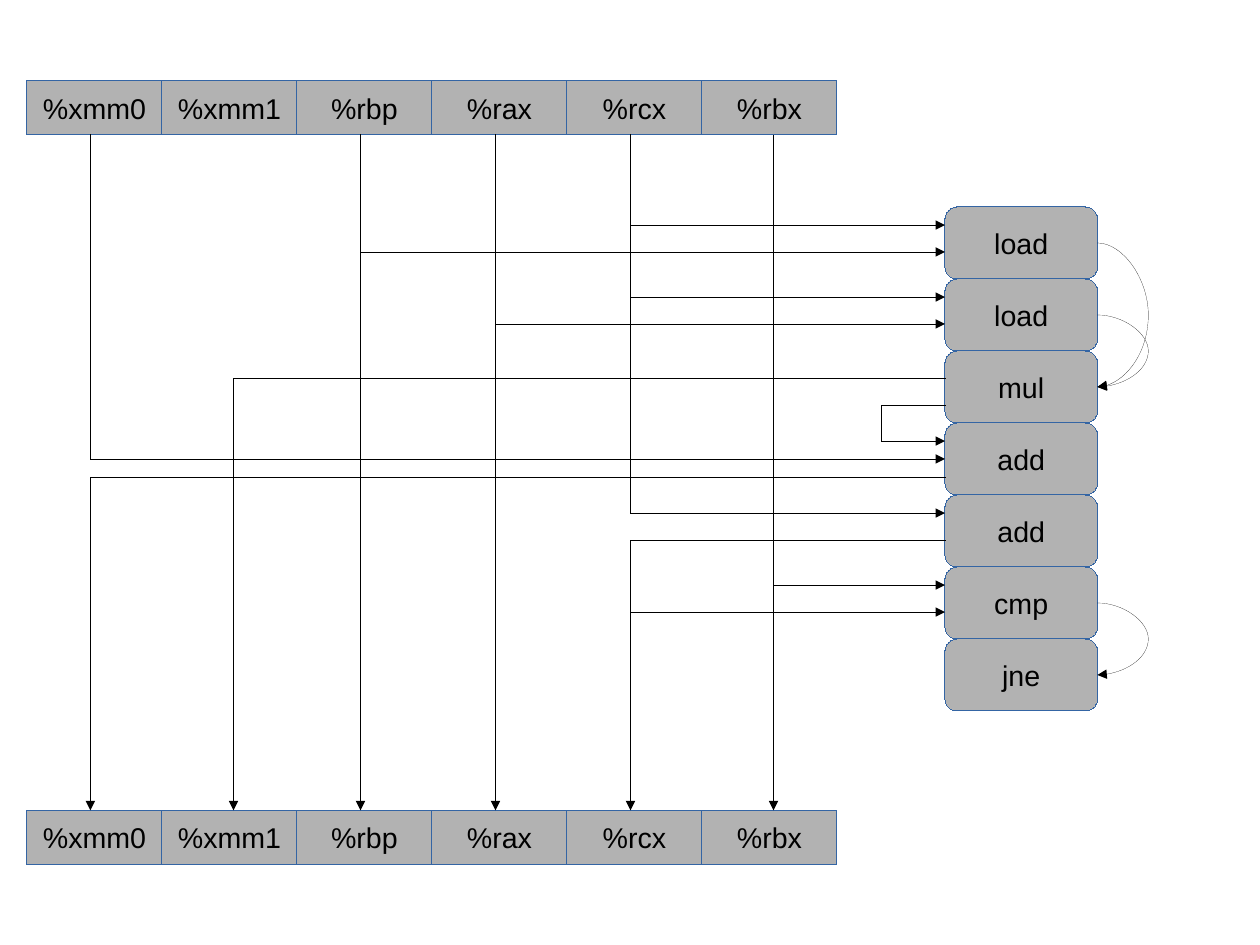
from typing import NamedTuple

from lxml.etree import SubElement
from pptx import Presentation
from pptx.dml.color import RGBColor
from pptx.enum.shapes import MSO_CONNECTOR, MSO_SHAPE
from pptx.enum.text import MSO_ANCHOR, PP_ALIGN
from pptx.oxml.ns import qn
from pptx.util import Cm, Emu, Pt

BLACK = RGBColor(0x00, 0x00, 0x00)
GREY = RGBColor(0xB2, 0xB2, 0xB2)
BLUE = RGBColor(0x34, 0x65, 0xA4)

PAGE_WIDTH, PAGE_HEIGHT = Cm(28), Cm(21)

# Grid in centimetres: registers set the columns, operations set the rows.
GRID_LEFT, COLUMN = 0.6, 3
GRID_TOP, ROW = 4.6, 1.6
REGISTER_ROWS = 0.75
BEFORE, AFTER = -1.75, 8.38
OUTPUT = BEFORE + REGISTER_ROWS
OPERATION_LEFT, OPERATION_COLUMNS = 6.8, 1.13
OPERATION_RIGHT = OPERATION_LEFT + OPERATION_COLUMNS

REGISTERS = ["%xmm0", "%xmm1", "%rbp", "%rax", "%rcx", "%rbx"]
OPERATIONS = ["load", "load", "mul", "add", "add", "cmp", "jne"]
XMM0, XMM1, RBP, RAX, RCX, RBX = 0.47, 1.53, 2.47, 3.47, 4.47, 5.53
DETOUR = 6.33

# A curve's ends lie a hair apart, so its bulge is a large multiple of that width.
CURVE_WIDTH = Emu(720)
CURVE_BULGE = -56500000

FONT_FORMAT = {"name": "Arial", "size": Pt(18)}
FRAME_FORMAT = {"word_wrap": False, "vertical_anchor": MSO_ANCHOR.MIDDLE}


class Cell(NamedTuple):
    label: str
    column: float
    row: float
    columns: float
    rows: float
    outline: MSO_SHAPE


class Wire(NamedTuple):
    start: tuple[float, float]
    end: tuple[float, float]
    arrow: bool


def across(lane: float, row: float) -> Wire:
    """Lead a register's value into an operation."""
    return Wire((lane, row), (OPERATION_LEFT, row), True)


def back(lane: float, row: float) -> Wire:
    """Lead an operation's result out to a lane."""
    return Wire((OPERATION_LEFT, row), (lane, row), False)


def down(lane: float, start: float, end: float) -> Wire:
    return Wire((lane, start), (lane, end), end == AFTER)


CELLS = [
    Cell(name, column, row, 1, REGISTER_ROWS, MSO_SHAPE.RECTANGLE)
    for row in (BEFORE, AFTER)
    for column, name in enumerate(REGISTERS)
] + [
    Cell(name, OPERATION_LEFT, row, OPERATION_COLUMNS, 1, MSO_SHAPE.ROUNDED_RECTANGLE)
    for row, name in enumerate(OPERATIONS)
]

WIRES = [
    down(RBP, OUTPUT, 0.625), across(RBP, 0.625), down(RBP, 0.625, AFTER),
    down(RAX, OUTPUT, 1.625), across(RAX, 1.625), down(RAX, 1.625, AFTER),
    down(RCX, OUTPUT, 0.25), across(RCX, 0.25),
    down(RCX, 0.25, 1.25), across(RCX, 1.25),
    down(RCX, 1.25, 4.25), across(RCX, 4.25),
    back(RCX, 4.625), down(RCX, 4.625, AFTER), across(RCX, 5.625),
    back(XMM1, 2.375), down(XMM1, 2.375, AFTER),
    back(DETOUR, 2.75), down(DETOUR, 2.75, 3.25), across(DETOUR, 3.25),
    down(XMM0, OUTPUT, 3.5), across(XMM0, 3.5),
    back(XMM0, 3.75), down(XMM0, 3.75, AFTER),
    down(RBX, OUTPUT, AFTER), across(RBX, 5.25),
]

# Operation that gives a value, operation that takes it.
DEPENDENCIES = [(1, 2), (0, 2), (5, 6)]


def grid_x(column: float) -> Emu:
    return Cm(GRID_LEFT + column * COLUMN)


def grid_y(row: float) -> Emu:
    return Cm(GRID_TOP + row * ROW)


def set_format(target: object, values: dict) -> None:
    for name, value in values.items():
        setattr(target, name, value)


def draw_hairline(shape, colour: RGBColor) -> None:
    """Write the zero width out, since the theme's width applies without it."""
    shape.line.color.rgb = colour
    shape._element.spPr.find(qn("a:ln")).set("w", "0")


def draw_cell(page, cell: Cell) -> None:
    box = page.shapes.add_shape(
        cell.outline, grid_x(cell.column), grid_y(cell.row),
        Cm(cell.columns * COLUMN), Cm(cell.rows * ROW))
    box.shadow.inherit = False
    box.fill.solid()
    box.fill.fore_color.rgb = GREY
    draw_hairline(box, BLUE)
    set_format(box.text_frame, FRAME_FORMAT)
    para = box.text_frame.paragraphs[0]
    para.alignment = PP_ALIGN.CENTER
    span = para.add_run()
    span.text = cell.label
    set_format(span.font, FONT_FORMAT)
    span.font.color.rgb = BLACK


def style_connector(connector, arrow: bool) -> None:
    draw_hairline(connector, BLACK)
    properties = connector._element.spPr
    if arrow:
        SubElement(properties.find(qn("a:ln")), qn("a:tailEnd"), type="triangle")
    SubElement(properties, qn("a:effectLst"))


def draw_wire(page, wire: Wire) -> None:
    (start_column, start_row), (end_column, end_row) = wire.start, wire.end
    connector = page.shapes.add_connector(
        MSO_CONNECTOR.STRAIGHT, grid_x(start_column), grid_y(start_row),
        grid_x(end_column), grid_y(end_row))
    style_connector(connector, wire.arrow)


def draw_dependency(page, giver: int, taker: int) -> None:
    right = grid_x(OPERATION_RIGHT)
    connector = page.shapes.add_connector(
        MSO_CONNECTOR.CURVE, right, grid_y(giver + 0.5),
        right - CURVE_WIDTH, grid_y(taker + 0.5))
    geometry = connector._element.spPr.find(qn("a:prstGeom"))
    adjustments = geometry.find(qn("a:avLst"))
    SubElement(adjustments, qn("a:gd"), name="adj1", fmla=f"val {CURVE_BULGE}")
    style_connector(connector, True)


def main() -> None:
    deck = Presentation()
    deck.slide_width = PAGE_WIDTH
    deck.slide_height = PAGE_HEIGHT
    page = deck.slides.add_slide(deck.slide_layouts[6])
    for cell in CELLS:
        draw_cell(page, cell)
    for wire in WIRES:
        draw_wire(page, wire)
    for giver, taker in DEPENDENCIES:
        draw_dependency(page, giver, taker)
    deck.save("out.pptx")


if __name__ == "__main__":
    main()
